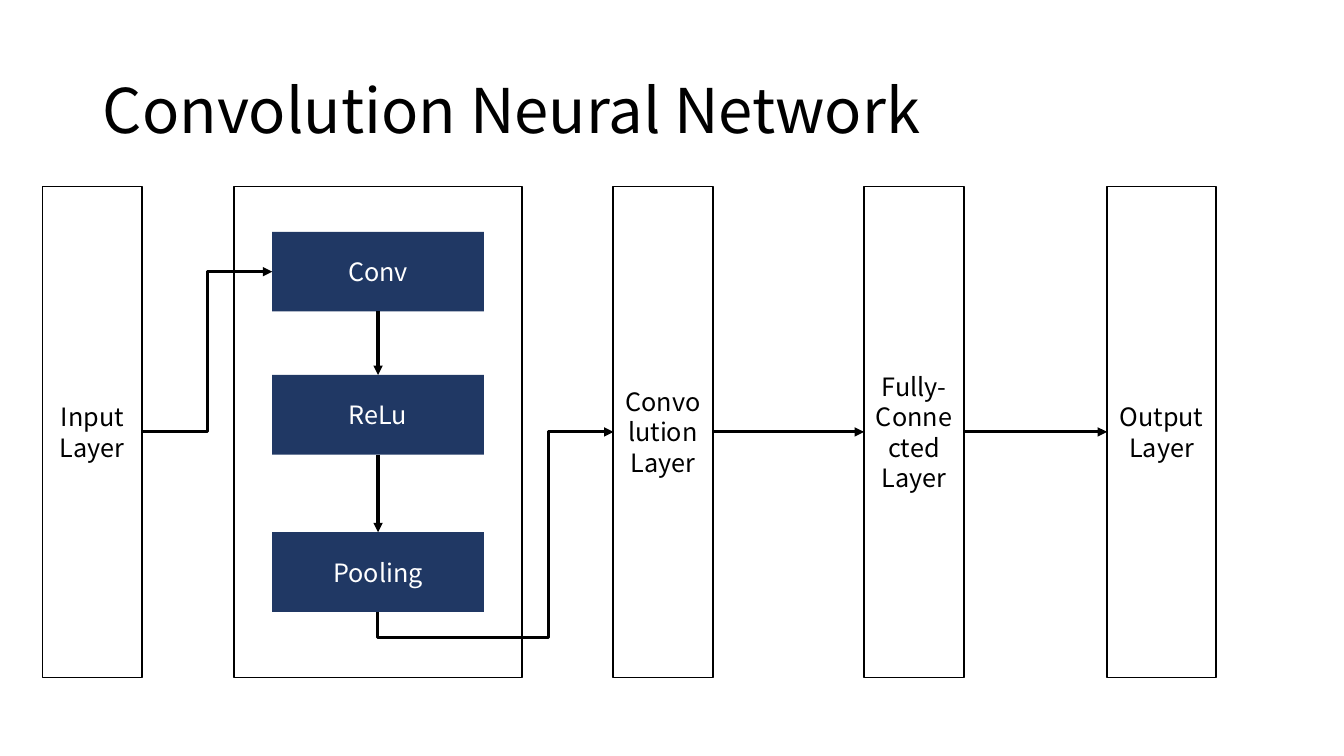
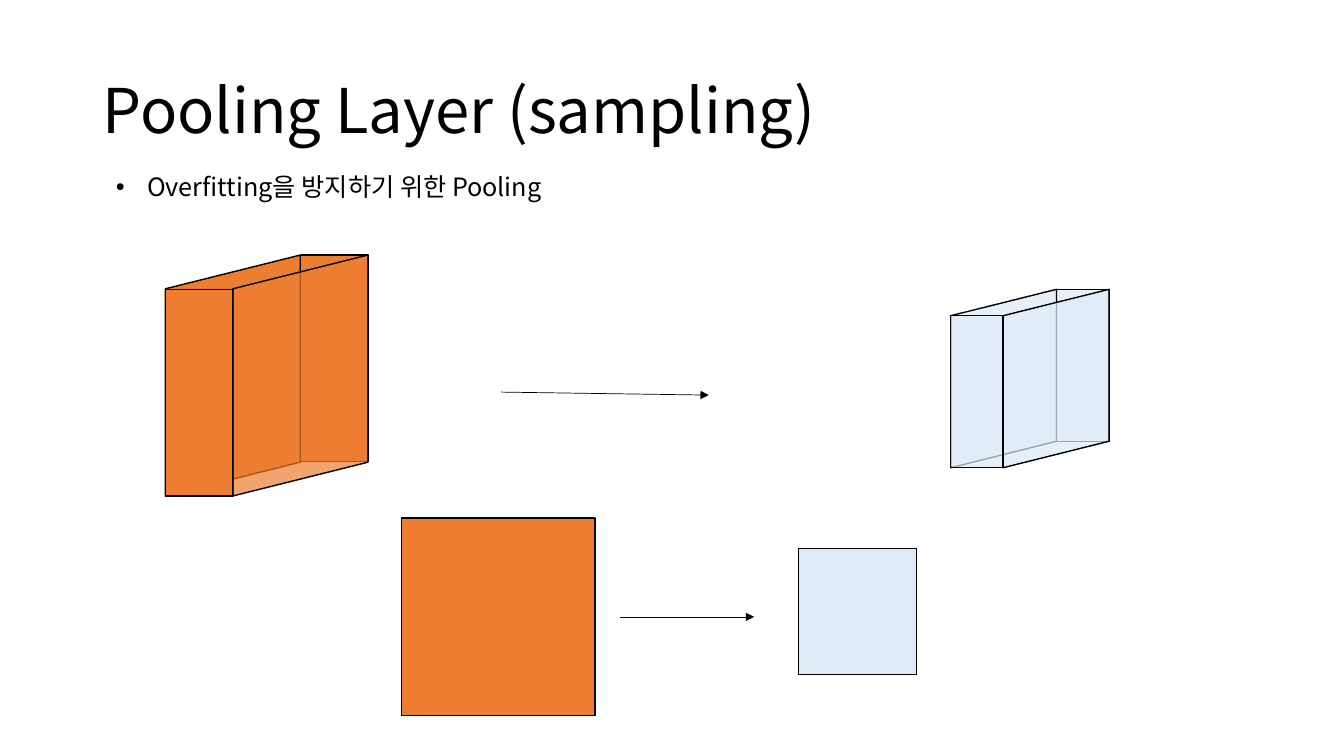
"""Build two slides on convolutional networks: the layer diagram and the pooling layer."""
from lxml.etree import SubElement
from pptx import Presentation
from pptx.dml.color import RGBColor
from pptx.enum.shapes import MSO_CONNECTOR as LINK, MSO_SHAPE as SHAPE
from pptx.enum.text import MSO_ANCHOR as ANCHOR, MSO_AUTO_SIZE as FIT, PP_ALIGN as ALIGN
from pptx.oxml.ns import qn
from pptx.util import Inches, Pt

COLORS = {"ink": "000000", "paper": "FFFFFF", "navy": "203864", "orange": "ED7D31", "ice": "DEEBF7"}
FONT = "Noto Sans CJK KR"
TOP, LEFT, BOTTOM, RIGHT = range(4)


def color(name):
    return RGBColor.from_string(COLORS[name])


def write(shape, text, size=18, ink="ink", align=ALIGN.CENTER, anchor=ANCHOR.MIDDLE, spacing=None):
    frame = shape.text_frame
    frame.word_wrap = True
    frame.auto_size = FIT.NONE
    frame.vertical_anchor = anchor
    for index, line in enumerate(text.split("\n")):
        para = frame.add_paragraph() if index else frame.paragraphs[0]
        para.alignment = align
        para.line_spacing = spacing
        para.space_before = Pt(0)
        span = para.add_run()
        span.text = line
        span.font.name = FONT
        span.font.size = Pt(size)
        span.font.color.rgb = color(ink)
        SubElement(span.font._element, qn("a:ea"), typeface=FONT)


def place(shape, left, top, width, height):
    shape.left, shape.top = Inches(left), Inches(top)
    shape.width, shape.height = Inches(width), Inches(height)


def add_page(deck, layout, title):
    page = deck.slides.add_slide(deck.slide_layouts.get_by_name(layout))
    place(page.shapes.title, 0.92, 0.4, 11.5, 1.45)
    write(page.shapes.title, title, size=44, align=ALIGN.LEFT, spacing=0.9)
    return page


def add_box(page, left, top, width, height, fill=None, line="ink", kind=SHAPE.RECTANGLE, alpha=100):
    box = page.shapes.add_shape(kind, *map(Inches, (left, top, width, height)))
    box.shadow.inherit = False
    if fill:
        box.fill.solid()
        box.fill.fore_color.rgb = color(fill)
        if alpha < 100:
            tint = box._element.spPr.find(qn("a:solidFill"))[0]
            SubElement(tint, qn("a:alpha"), val=str(alpha * 1000))
    else:
        box.fill.background()
    if line:
        box.line.color.rgb = color(line)
        box.line.width = Pt(1)
    else:
        box.line.fill.background()
    return box


def add_arrow(page, start, end, weight, kind=LINK.STRAIGHT):
    arrow = page.shapes.add_connector(kind, *map(Inches, (*start, *end)))
    arrow.line.color.rgb = color("ink")
    arrow.line.width = Pt(weight)
    SubElement(arrow.line._get_or_add_ln(), qn("a:tailEnd"), type="triangle")
    SubElement(arrow._element.spPr, qn("a:effectLst"))
    return arrow


def join(page, source, source_side, target, target_side, kind=LINK.STRAIGHT):
    arrow = add_arrow(page, (0, 0), (1, 1), 2.25, kind)
    arrow.begin_connect(source, source_side)
    arrow.end_connect(target, target_side)


def add_return_arrow(page, left, top, width, height, drop, turn):
    """Draw a three-bend arrow that leaves downward and ends rightward, sized before its quarter turn."""
    arrow = add_arrow(page, (left + width, top + height), (left, top), 2.25, LINK.ELBOW)
    arrow._element.spPr.find(qn("a:xfrm")).set("rot", "5400000")
    outline = arrow._element.spPr.find(qn("a:prstGeom"))
    outline.set("prst", "bentConnector4")
    guides = outline.find(qn("a:avLst"))
    for name, share in (("adj1", drop), ("adj2", turn)):
        SubElement(guides, qn("a:gd"), name=name, fmla=f"val {round(share * 100000)}")


def add_stage(page, left, top, width, height):
    add_box(page, left, top, width, height)
    steps = []
    for text, offset in (("Conv", 0.45), ("ReLu", 1.87), ("Pooling", 3.43)):
        step = add_box(page, left + 0.38, top + offset, 2.1, 0.79, fill="navy", line=None)
        write(step, text, ink="paper")
        steps.append(step)
    for above, below in zip(steps, steps[1:]):
        join(page, above, BOTTOM, below, TOP)
    return steps


def add_prism(page, left, top, width, height, run, rise, fill, solid=False):
    """Draw an open prism whose front face fills the given box and whose depth goes right and up."""
    front_alpha = 100 if solid else 70

    def add_side(x, alpha):
        length = height + rise
        side = add_box(page, x + (run - length) / 2, top - rise + (length - run) / 2, length, run,
                       fill=fill, kind=SHAPE.PARALLELOGRAM, alpha=alpha)
        side.rotation = 270
        side._element.spPr.find(qn("a:xfrm")).set("flipH", "1")

    add_side(left, front_alpha)
    for x, y in ((left, top), (left + run, top - rise)):
        add_box(page, x, y, width, height, fill=fill, alpha=front_alpha)
    add_side(left + width, 70)


def build_network(deck):
    page = add_page(deck, "Title Only", "Convolution Neural Network")
    top, height = 1.85, 4.87
    conv, _, _ = add_stage(page, 2.32, top, 2.86, height)
    layers = []
    for text, left, width in (("Input\nLayer", 0.42, 0.99), ("Convolution\nLayer", 6.08, 0.99),
                              ("Fully-\nConnected Layer", 8.57, 0.99), ("Output\nLayer", 10.98, 1.08)):
        layer = add_box(page, left, top, width, height)
        write(layer, text)
        layers.append(layer)
    first, *later = layers
    join(page, first, RIGHT, conv, LEFT, LINK.ELBOW)
    for source, target in zip(later, later[1:]):
        join(page, source, RIGHT, target, LEFT)
    add_return_arrow(page, 4.02, 4.01, 1.79, 2.34, drop=-0.14, turn=0.725)


def build_pooling(deck):
    page = add_page(deck, "Title and Content", "Pooling Layer (sampling)")
    body = page.placeholders[1]
    place(body, 1.05, 1.65, 6.43, 0.4)
    write(body, "Overfitting을 방지하기 위한 Pooling", align=ALIGN.LEFT, anchor=ANCHOR.TOP)
    settings = body.text_frame.paragraphs[0]._p.get_or_add_pPr()
    settings.set("marL", str(Inches(0.31)))
    settings.set("indent", str(Inches(-0.31)))
    SubElement(settings, qn("a:buFont"), typeface="Arial")
    SubElement(settings, qn("a:buChar"), char="•")

    add_prism(page, 1.64, 2.87, 0.67, 2.05, 1.34, 0.34, "orange", solid=True)
    add_prism(page, 9.43, 3.13, 0.52, 1.51, 1.05, 0.26, "ice")
    add_arrow(page, (4.97, 3.89), (7.03, 3.92), 0.5)
    add_box(page, 3.98, 5.14, 1.92, 1.96, fill="orange")
    add_box(page, 7.92, 5.44, 1.17, 1.25, fill="ice")
    add_arrow(page, (6.15, 6.12), (7.48, 6.12), 0.5)


def main():
    deck = Presentation()
    deck.slide_width, deck.slide_height = Inches(13.33), Inches(7.5)
    build_network(deck)
    build_pooling(deck)
    deck.save("out.pptx")


if __name__ == "__main__":
    main()
